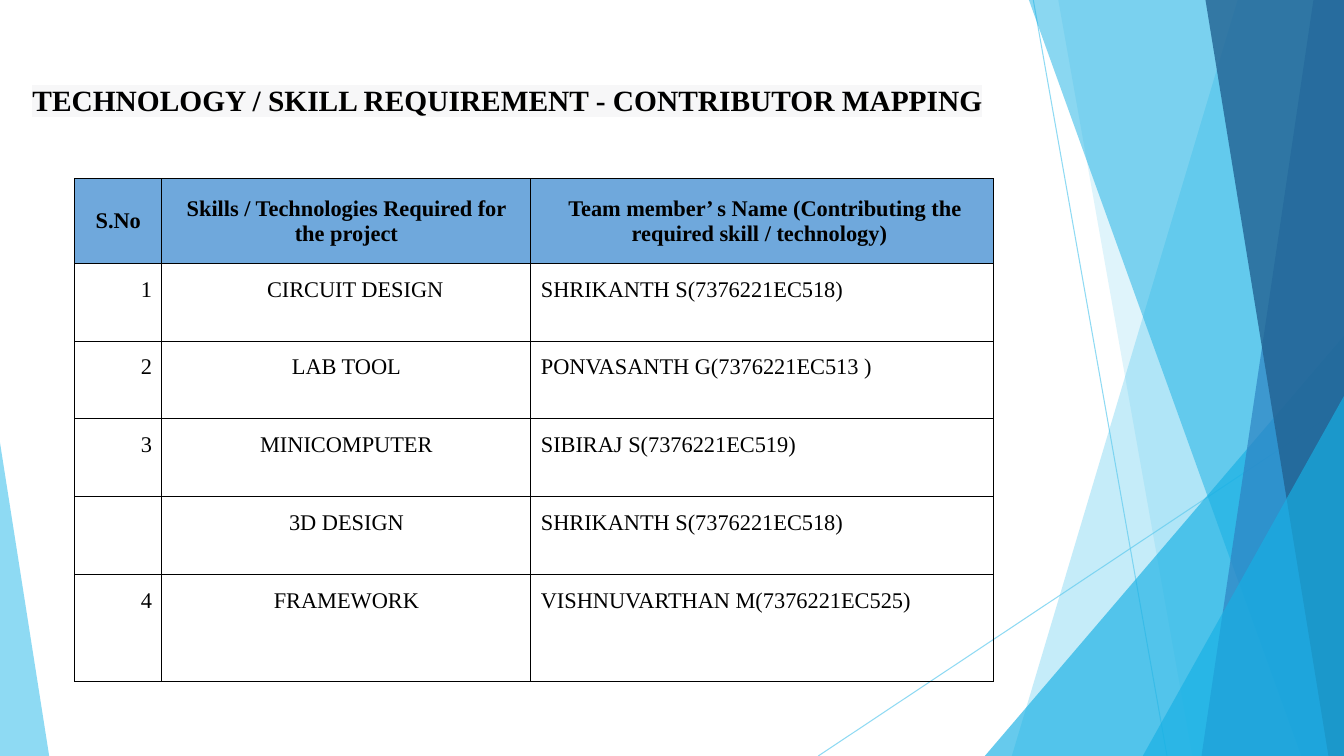
"""Build the skill requirement and contributor mapping slide."""
from lxml import etree
from pptx import Presentation
from pptx.dml.color import RGBColor
from pptx.enum.shapes import MSO_CONNECTOR, MSO_SHAPE
from pptx.enum.text import MSO_ANCHOR, PP_ALIGN
from pptx.oxml.ns import qn
from pptx.util import Cm, Pt

LEFT, CENTER, RIGHT, JUSTIFY = PP_ALIGN.LEFT, PP_ALIGN.CENTER, PP_ALIGN.RIGHT, PP_ALIGN.JUSTIFY
TOP, MIDDLE = MSO_ANCHOR.TOP, MSO_ANCHOR.MIDDLE
STRAIGHT, TRIANGLE = MSO_CONNECTOR.STRAIGHT, MSO_SHAPE.ISOSCELES_TRIANGLE

TITLE = "TECHNOLOGY / SKILL REQUIREMENT - CONTRIBUTOR MAPPING"
HEADER = (
    "S.No",
    "Skills / Technologies Required for the project",
    " Team member’ s Name (Contributing the required skill / technology) ",
)
ROWS = [
    ("1", "CIRCUIT DESIGN", "SHRIKANTH S(7376221EC518)"),
    ("2", "LAB TOOL", "PONVASANTH G(7376221EC513 )"),
    ("3", "MINICOMPUTER", "SIBIRAJ S(7376221EC519)"),
    ("", "3D DESIGN", "SHRIKANTH S(7376221EC518)"),
    ("4", "FRAMEWORK", "VISHNUVARTHAN M(7376221EC525)"),
]
COLUMN_ALIGN = (RIGHT, CENTER, JUSTIFY)
INDENTED = {"CIRCUIT DESIGN": 2.4}

THEME = {
    "font": "Times New Roman", "title": 21, "cell": 16, "rule": 0.75,
    "text": "000000", "highlight": "F7F7F8", "header": "6FA8DC",
    "sky": "5FCBEF", "cyan": "17B0E4", "blue": "2E83C3", "navy": "226292",
}

WIDTH, HEIGHT = 33.87, 19.05
TITLE_BOX = (0.48, 0.51, 31.55, 3.45)
TABLE_AT = (1.88, 4.5)
COLUMNS = (2.2, 9.3, 11.66)
ROW_HEIGHTS = (2.15, 1.95, 1.95, 1.97, 1.96, 2.68)

RAYS = [((26.04, 0), (29.41, HEIGHT)), ((WIDTH, 10.24), (20.62, HEIGHT))]
FACETS = [
    ("band", (31.19, 25.5), "sky", 36),
    ("band", (26.67, 30.05), "sky", 20),
    ("triangle", (24.82, WIDTH, 8.46, 1), "cyan", 66),
    ("band", (25.93, 32.79), "cyan", 50),
    ("band", (33.1, 30.28), "blue", 70),
    ("band", (30.38, 33.48), "navy", 80),
    ("triangle", (28.8, WIDTH, 9.98, 1), "cyan", 66),
    ("triangle", (0, 1.24, 11.15, 0), "sky", 70),
]


def rgb(name):
    return RGBColor.from_string(THEME[name])


def set_alpha(s, percent):
    for color in s.element.spPr.iter(qn("a:srgbClr")):
        etree.SubElement(color, qn("a:alpha"), val=str(percent * 1000))


def add_ray(shapes, start, end):
    s = shapes.add_connector(STRAIGHT, *map(Cm, start + end))
    s.line.color.rgb = rgb("sky")
    s.line.width = Pt(THEME["rule"])
    set_alpha(s, 70)
    etree.SubElement(s.element.spPr, qn("a:effectLst"))


def add_band(shapes, top_x, bottom_x):
    builder = shapes.build_freeform(Cm(top_x), 0)
    corners = [(WIDTH, 0), (WIDTH, HEIGHT), (bottom_x, HEIGHT)]
    builder.add_line_segments([(Cm(x), Cm(y)) for x, y in corners])
    return builder.convert_to_shape()


def add_triangle(shapes, left, right, top, apex):
    s = shapes.add_shape(TRIANGLE, Cm(left), Cm(top), Cm(right - left), Cm(HEIGHT - top))
    s.adjustments[0] = apex
    return s


def add_facet(shapes, kind, geometry, color, opacity):
    s = {"band": add_band, "triangle": add_triangle}[kind](shapes, *geometry)
    s.fill.solid()
    s.fill.fore_color.rgb = rgb(color)
    s.line.fill.background()
    s.shadow.inherit = False
    set_alpha(s, opacity)


def add_text(p, text, size, bold):
    r = p.add_run()
    r.text = text
    r.font.name = THEME["font"]
    r.font.size = Pt(THEME[size])
    r.font.bold = bold
    r.font.color.rgb = rgb("text")
    return r


def add_title(shapes):
    tf = shapes.add_textbox(*map(Cm, TITLE_BOX)).text_frame
    tf.word_wrap = True
    tf.vertical_anchor = TOP
    tf.margin_left = tf.margin_right = Cm(0.34)
    tf.margin_top = Cm(1.55)
    r = add_text(tf.paragraphs[0], TITLE, "title", True)
    highlight = etree.Element(qn("a:highlight"))
    etree.SubElement(highlight, qn("a:srgbClr"), val=THEME["highlight"])
    r._r.rPr.find(qn("a:solidFill")).addnext(highlight)


def add_borders(cell):
    tc_pr = cell._tc.get_or_add_tcPr()
    for i, side in enumerate(("lnL", "lnR", "lnT", "lnB")):
        ln = etree.Element(qn(f"a:{side}"), w=str(Pt(THEME["rule"])))
        fill = etree.SubElement(ln, qn("a:solidFill"))
        etree.SubElement(fill, qn("a:srgbClr"), val=THEME["text"])
        tc_pr.insert(i, ln)


def fill_cell(cell, text, align, is_header):
    cell.margin_left = cell.margin_right = cell.margin_top = cell.margin_bottom = Cm(0.25)
    cell.vertical_anchor = MIDDLE if is_header else TOP
    if is_header:
        cell.fill.solid()
        cell.fill.fore_color.rgb = rgb("header")
    else:
        cell.fill.background()
    add_borders(cell)
    p = cell.text_frame.paragraphs[0]
    p.alignment = align
    p.line_spacing = 1.0 if is_header else 1.15
    if text in INDENTED:
        p.alignment = LEFT
        p._p.get_or_add_pPr().set("marL", str(Cm(INDENTED[text])))
    if text:
        add_text(p, text, "cell", is_header)


def add_skill_table(shapes):
    size = (sum(COLUMNS), sum(ROW_HEIGHTS))
    frame = shapes.add_table(len(ROW_HEIGHTS), len(COLUMNS), *map(Cm, TABLE_AT + size))
    table = frame.table
    table.first_row = table.horz_banding = False
    for column, width in zip(table.columns, COLUMNS):
        column.width = Cm(width)
    for i, (height, texts) in enumerate(zip(ROW_HEIGHTS, [HEADER] + ROWS)):
        table.rows[i].height = Cm(height)
        for j, text in enumerate(texts):
            align = COLUMN_ALIGN[j] if i else CENTER
            fill_cell(table.cell(i, j), text, align, i == 0)


def main():
    prs = Presentation()
    prs.slide_width, prs.slide_height = Cm(WIDTH), Cm(HEIGHT)
    shapes = prs.slides.add_slide(prs.slide_layouts[6]).shapes
    for start, end in RAYS:
        add_ray(shapes, start, end)
    for facet in FACETS:
        add_facet(shapes, *facet)
    add_title(shapes)
    add_skill_table(shapes)
    prs.save("out.pptx")


if __name__ == "__main__":
    main()
